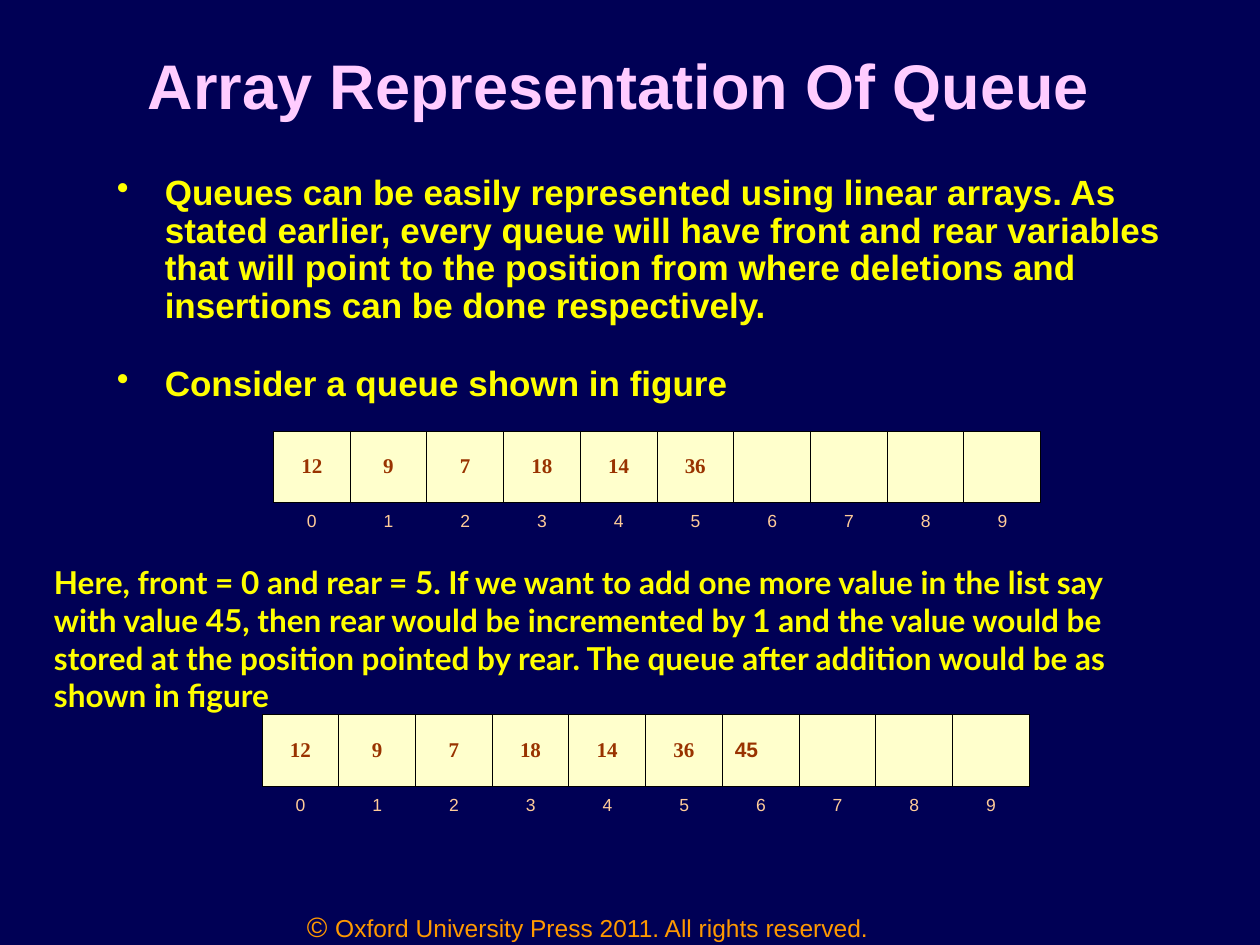
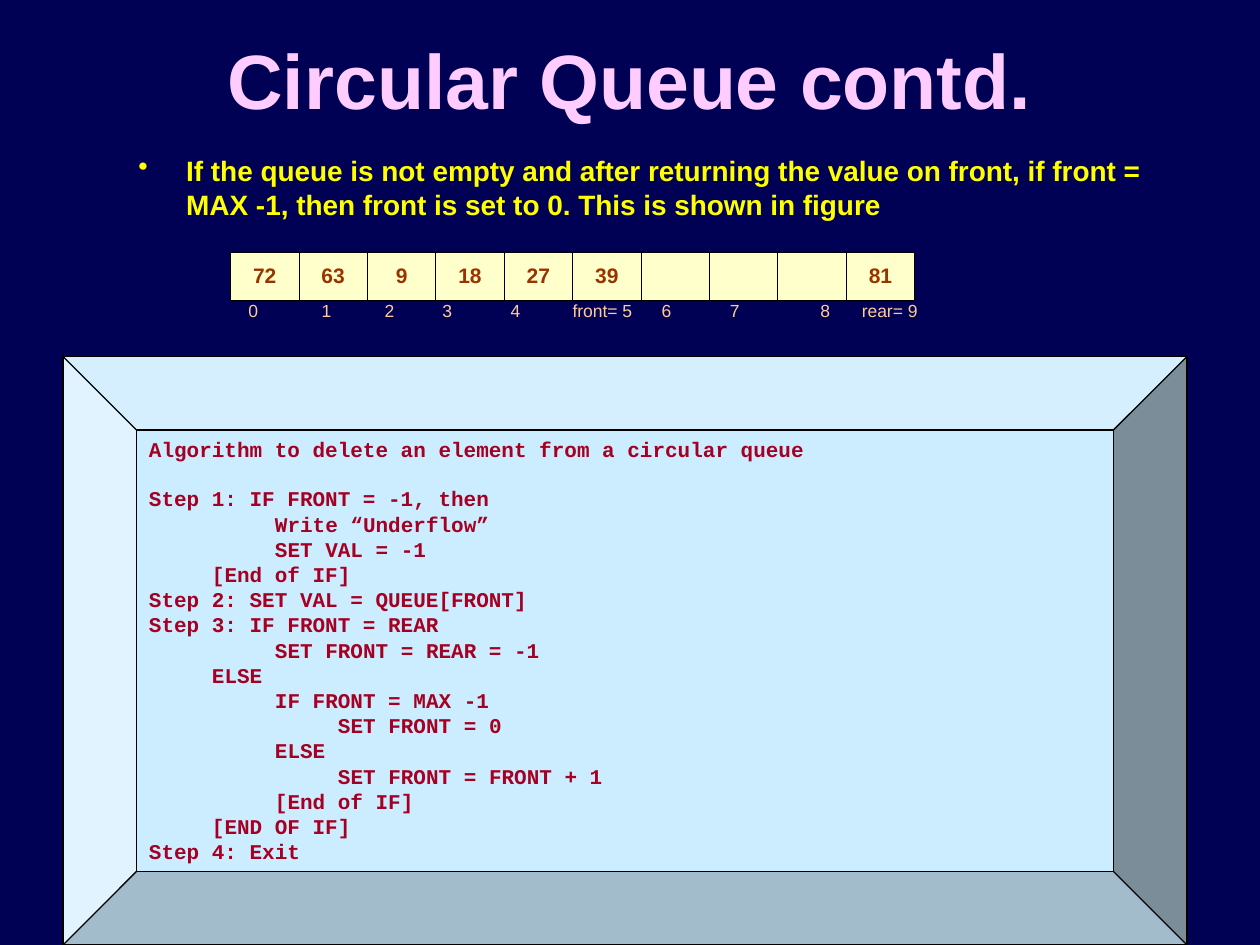
from lxml import etree
from pptx import Presentation
from pptx.dml.color import RGBColor
from pptx.enum import shapes, text
from pptx.oxml.ns import qn
from pptx.util import Inches, Pt

COLORS = {
    "background": "000055", "title": "FFCCFF", "body": "FFFF00",
    "cell": "FFFFCC", "value": "993300", "index": "FFCC99",
    "footer": "FF9900", "panel": "CCECFF", "code": "A50021", "line": "000000",
}
ALIGN = text.PP_ALIGN
ANCHOR = text.MSO_ANCHOR
VALUE_SIZE = 12

ALGORITHM = """Algorithm to delete an element from a circular queue
Step 1: IF FRONT = -1, then
\t\tWrite “Underflow”
\t\tSET VAL = -1
\t[End of IF]
Step 2: SET VAL = QUEUE[FRONT]
Step 3: IF FRONT = REAR
\t\tSET FRONT = REAR = -1
\tELSE
\t\tIF FRONT = MAX -1
\t\t\tSET FRONT = 0
\t\tELSE
\t\t\tSET FRONT = FRONT + 1
\t\t[End of IF]
\t[END OF IF]
Step 4: Exit""".splitlines()


def rgb(name):
    return RGBColor.from_string(COLORS[name])


def write(paragraph, words, size=12, color="body", font="Arial", bold=False,
          align=ALIGN.LEFT, before=0, spacing=None):
    """Append formatted words to a paragraph."""
    paragraph.alignment = align
    if before:
        paragraph.space_before = Pt(before)
    if spacing:
        paragraph.line_spacing = spacing
    run = paragraph.add_run()
    run.text = words
    run.font.size = Pt(size)
    run.font.name = font
    run.font.bold = bold
    run.font.color.rgb = rgb(color)


def text_frame(slide, box, anchor=ANCHOR.TOP):
    frame = slide.shapes.add_textbox(*map(Inches, box)).text_frame
    frame.word_wrap = True
    frame.vertical_anchor = anchor
    return frame


def next_paragraph(frame, position):
    return frame.add_paragraph() if position else frame.paragraphs[0]


def add_bullet(paragraph):
    properties = paragraph._p.get_or_add_pPr()
    properties.set("marL", str(Inches(0.38)))
    properties.set("indent", str(-Inches(0.38)))
    bullet_color = etree.SubElement(properties, qn("a:buClr"))
    etree.SubElement(bullet_color, qn("a:srgbClr"), val=COLORS["body"])
    etree.SubElement(properties, qn("a:buChar"), char="•")


def add_center_tabs(paragraph, stops):
    tabs = etree.SubElement(paragraph._p.get_or_add_pPr(), qn("a:tabLst"))
    for stop in stops:
        etree.SubElement(tabs, qn("a:tab"), pos=str(Inches(stop)), algn="ctr")


def add_borders(cell):
    properties = cell._tc.get_or_add_tcPr()
    for position, side in enumerate(("lnL", "lnR", "lnT", "lnB")):
        border = etree.Element(qn(f"a:{side}"), w=str(Pt(0.45)))
        fill = etree.SubElement(border, qn("a:solidFill"))
        etree.SubElement(fill, qn("a:srgbClr"), val=COLORS["line"])
        properties.insert(position, border)


# Shared regions
def new_slide(deck):
    slide = deck.slides.add_slide(deck.slide_layouts[6])
    slide.background.fill.solid()
    slide.background.fill.fore_color.rgb = rgb("background")
    return slide


def add_title(slide, box, words, size):
    frame = text_frame(slide, box, ANCHOR.MIDDLE)
    write(frame.paragraphs[0], words, size=size, color="title", bold=True,
          align=ALIGN.CENTER)


def add_points(slide, box, points, **style):
    frame = text_frame(slide, box)
    for position, point in enumerate(points):
        paragraph = next_paragraph(frame, position)
        add_bullet(paragraph)
        write(paragraph, point, bold=True, before=23 if position else 0, **style)


def add_queue(slide, box, values, font, left_aligned=()):
    """Draw one row of equal cells."""
    left, top, width, height = map(Inches, box)
    queue = slide.shapes.add_table(1, len(values), left, top, width, height).table
    queue.first_row = queue.horz_banding = False
    for position, value in enumerate(values):
        queue.columns[position].width = width // len(values)
        cell = queue.cell(0, position)
        cell.vertical_anchor = ANCHOR.MIDDLE
        cell.fill.solid()
        cell.fill.fore_color.rgb = rgb("cell")
        add_borders(cell)
        paragraph = cell.text_frame.paragraphs[0]
        if not value:
            etree.SubElement(paragraph._p, qn("a:endParaRPr"),
                             sz=str(VALUE_SIZE * 100))
        elif position in left_aligned:
            write(paragraph, value, size=VALUE_SIZE, color="value", bold=True)
        else:
            write(paragraph, value, size=VALUE_SIZE, color="value", font=font,
                  bold=True, align=ALIGN.CENTER)


def add_indices(slide, box, labels, centers):
    """Set labels on centred tab stops, measured from the left of the box."""
    frame = text_frame(slide, box, ANCHOR.MIDDLE)
    frame.margin_left = frame.margin_right = 0
    paragraph = frame.paragraphs[0]
    add_center_tabs(paragraph, centers)
    write(paragraph, "".join(f"\t{label}" for label in labels), size=10,
          color="index")


def add_footer(slide, box):
    notice = text_frame(slide, box).paragraphs[0]
    style = dict(color="footer", align=ALIGN.CENTER)
    write(notice, "© ", size=16, **style)
    write(notice, "Oxford University Press 2011. All rights reserved.", size=14,
          **style)


def add_algorithm(slide, box, lines):
    panel = slide.shapes.add_shape(shapes.MSO_SHAPE.BEVEL, *map(Inches, box))
    panel.shadow.inherit = False
    panel.fill.solid()
    panel.fill.fore_color.rgb = rgb("panel")
    panel.line.color.rgb = rgb("line")
    panel.line.width = Pt(0.75)
    frame = panel.text_frame
    frame.word_wrap = True
    frame.vertical_anchor = ANCHOR.TOP
    for position, line in enumerate(lines):
        write(next_paragraph(frame, position), line, color="code",
              font="Courier New", bold=True, before=14 if position == 1 else 0)


# Slides
def array_slide(deck):
    slide = new_slide(deck)
    add_footer(slide, (2, 7.17, 5.33, 0.33))
    add_title(slide, (0.41, 0.04, 9, 1.25), "Array Representation Of Queue", 36)
    add_points(slide, (0.83, 1.34, 8.5, 2.04), [
        "Queues can be easily represented using linear arrays. As stated earlier, "
        "every queue will have front and rear variables that will point to the "
        "position from where deletions and insertions can be done respectively.",
        "Consider a queue shown in figure",
    ], size=20, spacing=0.9)

    explanation = text_frame(slide, (0.33, 4.42, 8.92, 1.3))
    write(explanation.paragraphs[0],
          "Here, front = 0 and rear = 5. If we want to add one more value in the "
          "list say with value 45, then rear would be incremented by 1 and the "
          "value would be stored at the position pointed by rear. The queue after "
          "addition would be as shown in figure", size=18, font="Lato", bold=True)

    # Queue before and after the addition
    width, height = 6.09, 0.57
    stored = ["12", "9", "7", "18", "14", "36"]
    centers = [width / 10 * (position + 0.5) for position in range(10)]
    for left, top, added in ((2.17, 3.42, ""), (2.08, 5.67, "45")):
        add_queue(slide, (left, top, width, height), stored + [added, "", "", ""],
                  "Times New Roman", left_aligned=(6,))
        add_indices(slide, (left, top + height + 0.01, width, 0.27), range(10),
                    centers)


def circular_slide(deck):
    slide = new_slide(deck)
    add_title(slide, (0.5, 0, 9, 1.25), "Circular Queue contd.", 44)
    add_points(slide, (1, 1.17, 8.5, 0.71), [
        "If the queue is not empty and after returning the value on front, "
        "if front = MAX -1, then front is set to 0. This is shown in figure",
    ], size=16)
    add_queue(slide, (1.83, 2, 5.43, 0.38),
              ["72", "63", "9", "18", "27", "39", "", "", "", "81"], "Arial")
    add_indices(slide, (1.42, 2.33, 6.58, 0.27),
                [0, 1, 2, 3, 4, "front= 5", 6, 7, 8, "rear= 9"],
                [0.59, 1.17, 1.67, 2.13, 2.67, 3.36, 3.87, 4.41, 5.13, 5.64])
    add_algorithm(slide, (0.5, 2.83, 8.92, 4.67), ALGORITHM)


def main():
    deck = Presentation()
    deck.slide_width, deck.slide_height = Inches(10), Inches(7.5)
    array_slide(deck)
    circular_slide(deck)
    deck.save("out.pptx")


if __name__ == "__main__":
    main()
